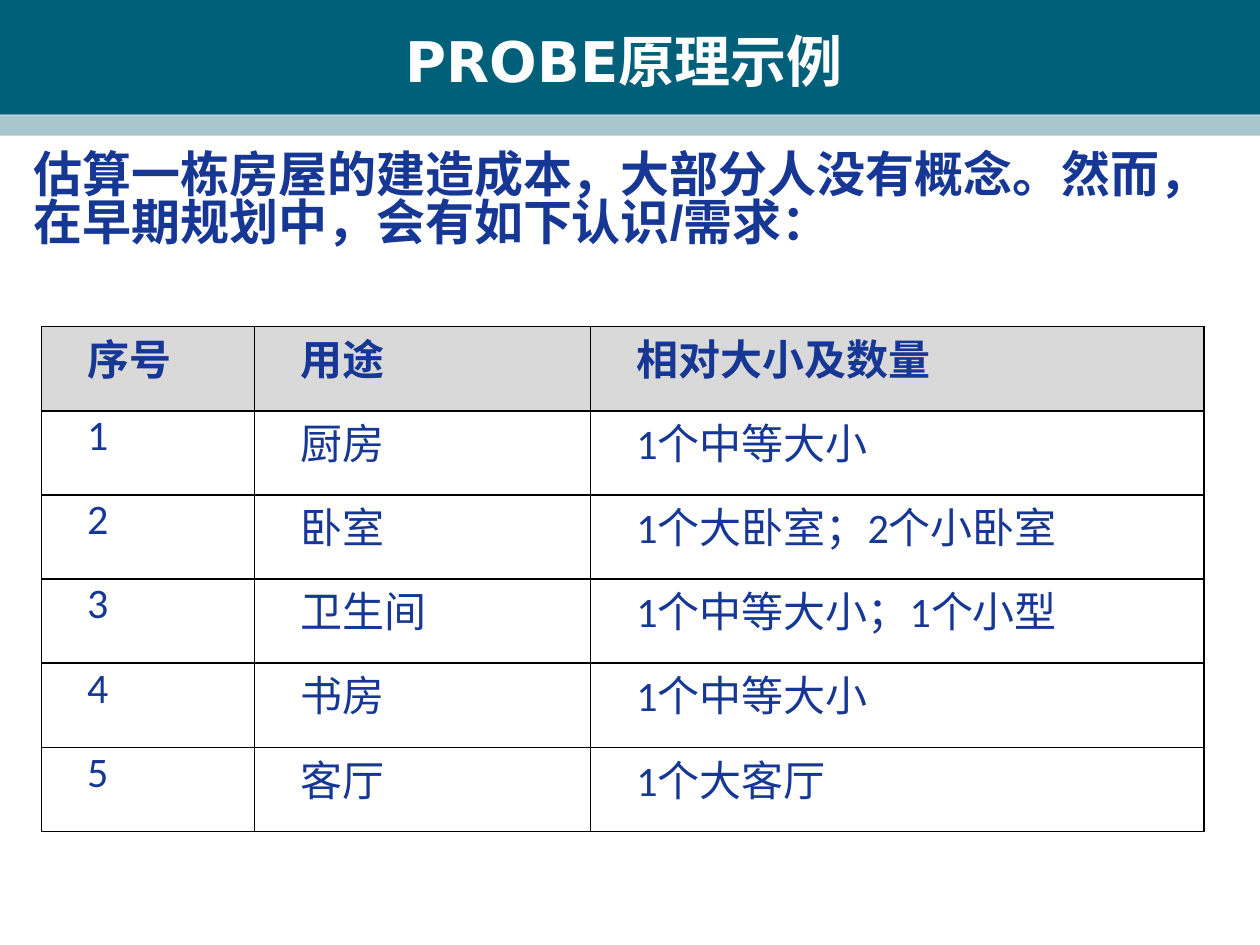
from lxml.etree import SubElement
from pptx import Presentation
from pptx.dml.color import RGBColor
from pptx.enum.shapes import MSO_SHAPE as Shape
from pptx.enum.text import MSO_ANCHOR as Anchor, PP_ALIGN as Align
from pptx.oxml.ns import qn
from pptx.util import Pt

TEAL = RGBColor(0x00, 0x60, 0x7A)
PALE_TEAL = RGBColor(0xA9, 0xC6, 0xCC)
NAVY = RGBColor(0x16, 0x37, 0x94)
GREY = RGBColor(0xD9, 0xD9, 0xD9)
BLACK = RGBColor(0, 0, 0)
WHITE = RGBColor(0xFF, 0xFF, 0xFF)

INTRO = "估算一栋房屋的建造成本，大部分人没有概念。然而，在早期规划中，会有如下认识/需求："
ROOMS = [
    ("序号", "用途", "相对大小及数量"),
    ("1", "厨房", "1个中等大小"),
    ("2", "卧室", "1个大卧室；2个小卧室"),
    ("3", "卫生间", "1个中等大小；1个小型"),
    ("4", "书房", "1个中等大小"),
    ("5", "客厅", "1个大客厅"),
]
COLUMN_WIDTHS = (121.7, 192.2, 350.6)
ROW_HEIGHT = 48.1


def style(paragraph, name, size, color, bold):
    font = paragraph.font
    font.name, font.size, font.bold = name, Pt(size), bold
    font.color.rgb = color


def add_band(slide, top, height, color):
    """Add a full-width bar behind everything else on the slide."""
    band = slide.shapes.add_shape(Shape.RECTANGLE, 0, Pt(top), Pt(720), Pt(height))
    band.shadow.inherit = False
    band.fill.solid()
    band.fill.fore_color.rgb = color
    band.line.fill.background()
    slide.shapes._spTree.insert(2, band._element)


def set_title(slide, text):
    title = slide.shapes.title
    title.left, title.top, title.width, title.height = Pt(23.8), Pt(12.2), Pt(666), Pt(44.6)
    frame = title.text_frame
    frame.text = text
    frame.vertical_anchor = Anchor.MIDDLE
    paragraph = frame.paragraphs[0]
    paragraph.alignment = Align.CENTER
    style(paragraph, "DejaVu Sans", 32, WHITE, True)


def add_intro(slide, text):
    frame = slide.shapes.add_textbox(Pt(12.2), Pt(84.2), Pt(666), Pt(74.9)).text_frame
    frame.word_wrap = True
    frame.text = text
    paragraph = frame.paragraphs[0]
    paragraph.line_spacing = 0.82
    style(paragraph, "Arial", 28, NAVY, True)


def add_borders(cell):
    properties = cell._tc.get_or_add_tcPr()
    for position, side in enumerate(("lnL", "lnR", "lnT", "lnB")):
        line = SubElement(properties, qn(f"a:{side}"), w=str(Pt(1)))
        fill = SubElement(line, qn("a:solidFill"))
        SubElement(fill, qn("a:srgbClr"), val=str(BLACK))
        properties.insert(position, line)


def fill_cell(cell, text, is_header):
    cell.text = text
    cell.margin_left = cell.margin_right = Pt(5.2)
    cell.margin_top = cell.margin_bottom = 0
    if is_header:
        cell.fill.solid()
        cell.fill.fore_color.rgb = GREY
    else:
        cell.fill.background()
    add_borders(cell)
    paragraph = cell.text_frame.paragraphs[0]
    paragraph.alignment = Align.JUSTIFY
    paragraph._p.get_or_add_pPr().set("indent", str(Pt(21)))
    style(paragraph, "Calibri", 24, NAVY, is_header)


def add_room_table(slide, rows):
    table = slide.shapes.add_table(
        len(rows), len(COLUMN_WIDTHS), Pt(23.6), Pt(186.7),
        Pt(sum(COLUMN_WIDTHS)), Pt(ROW_HEIGHT * len(rows))).table
    for column, width in zip(table.columns, COLUMN_WIDTHS):
        column.width = Pt(width)
    for r, row in enumerate(rows):
        table.rows[r].height = Pt(ROW_HEIGHT)
        for c, text in enumerate(row):
            fill_cell(table.cell(r, c), text, r == 0)


def main():
    deck = Presentation()
    deck.slide_width, deck.slide_height = Pt(720), Pt(540)
    slide = deck.slides.add_slide(deck.slide_layouts[5])
    add_band(slide, 0, 65.6, TEAL)
    add_band(slide, 66, 11.5, PALE_TEAL)
    set_title(slide, "PROBE原理示例")
    add_room_table(slide, ROOMS)
    add_intro(slide, INTRO)
    deck.save("out.pptx")


if __name__ == "__main__":
    main()
